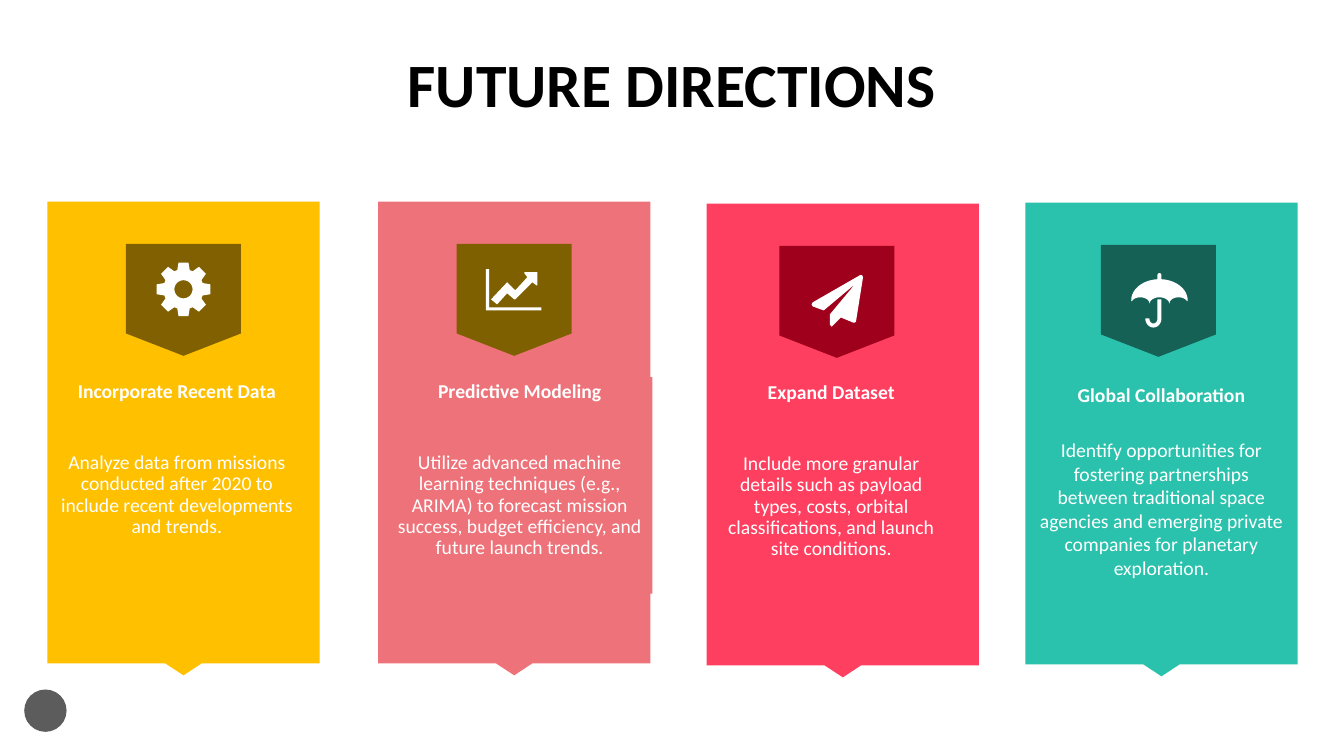
import math
from dataclasses import dataclass

import pptx
import pptx.dml.color
import pptx.enum.shapes
import pptx.enum.text
import pptx.util

Inches = pptx.util.Inches
Pt = pptx.util.Pt
RGBColor = pptx.dml.color.RGBColor
MSO_SHAPE = pptx.enum.shapes.MSO_SHAPE
PP_ALIGN = pptx.enum.text.PP_ALIGN
MSO_ANCHOR = pptx.enum.text.MSO_ANCHOR
MSO_AUTO_SIZE = pptx.enum.text.MSO_AUTO_SIZE

Point = tuple[float, float]
Contour = list[Point]
Box = tuple[float, float, float, float]

BLACK = RGBColor(0x00, 0x00, 0x00)
WHITE = RGBColor(0xFF, 0xFF, 0xFF)
GREY = RGBColor(0x5C, 0x5C, 0x5C)
AMBER = RGBColor(0xFF, 0xC0, 0x00)
OLIVE = RGBColor(0x80, 0x60, 0x00)
ROSE = RGBColor(0xED, 0x72, 0x79)
DARK_OLIVE = RGBColor(0x7F, 0x60, 0x00)
RED = RGBColor(0xFF, 0x3F, 0x5F)
DARK_RED = RGBColor(0x9F, 0x00, 0x1B)
TEAL = RGBColor(0x2A, 0xC2, 0xAC)
DARK_TEAL = RGBColor(0x15, 0x61, 0x56)

FONT = "Calibri"
CARD_W, CARD_H = 2.7, 4.7
BADGE_W, BADGE_H, BADGE_DROP = 1.14, 1.11, 0.42
CALLOUT_ADJ = (0.25, 0.067, 0.044, 0.975)


@dataclass
class Card:
    heading: str
    body: str
    left: float
    top: float
    fill: RGBColor
    badge_left: float
    badge_fill: RGBColor
    text_box: Box
    icon: list[Contour]
    text_filled: bool = False
    line_spacing: float = 0.9
    gap: float = 35.4


def arc(cx: float, cy: float, rx: float, ry: float,
        start: float, end: float, steps: int = 16) -> Contour:
    angles = [math.radians(start + (end - start) * i / steps) for i in range(steps + 1)]
    return [(cx + rx * math.cos(a), cy + ry * math.sin(a)) for a in angles]


def gear(cx: float, cy: float, teeth: int = 8) -> list[Contour]:
    profile = ((-18, 0.2), (-10.5, 0.27), (10.5, 0.27), (18, 0.2))
    rim = []
    for tooth in range(teeth):
        for offset, radius in profile:
            a = math.radians(tooth * 360 / teeth + offset)
            rim.append((cx + radius * math.cos(a), cy + radius * math.sin(a)))
    return [rim, arc(cx, cy, 0.09, 0.09, 0, 360, 32)]


def umbrella(cx: float) -> list[Contour]:
    canopy = (arc(cx, 2.98, 0.28, 0.21, 180, 360, 32)
              + arc(cx + 0.19, 3.01, 0.09, 0.06, -20, -180)
              + arc(cx, 3.02, 0.1, 0.07, 0, -180)
              + arc(cx - 0.19, 3.01, 0.09, 0.06, 0, -160))
    handle = ([(cx - 0.02, 2.97), (cx + 0.02, 2.97)]
              + arc(cx - 0.06, 3.16, 0.08, 0.09, 0, 180)
              + arc(cx - 0.06, 3.16, 0.04, 0.05, 180, 0))
    tip = [(cx - 0.02, 2.77)] + arc(cx, 2.73, 0.02, 0.02, 180, 360, 8) + [(cx + 0.02, 2.77)]
    return [canopy, handle, tip]


AXES = [(4.82, 2.67), (4.85, 2.67), (4.85, 3.05), (5.37, 3.05), (5.37, 3.08), (4.82, 3.08)]
TREND = [(4.87, 2.97), (5.03, 2.8), (5.11, 2.88), (5.23, 2.75), (5.2, 2.71), (5.2, 2.7),
         (5.33, 2.7), (5.33, 2.83), (5.32, 2.83), (5.28, 2.8), (5.11, 2.97), (5.1, 2.97),
         (5.03, 2.91), (4.93, 3.02)]
PLANE = [(8.56, 2.75), (8.49, 3.19), (8.48, 3.2), (8.46, 3.2), (8.34, 3.15), (8.26, 3.23),
         (8.25, 3.24), (8.23, 3.22), (8.23, 3.12), (8.48, 2.82), (8.17, 3.08), (8.06, 3.04),
         (8.05, 3.02), (8.06, 3), (8.53, 2.73), (8.55, 2.73)]

CARDS = [
    Card("Incorporate Recent Data",
         "Analyze data from missions conducted after 2020 to include recent developments "
         "and trends.",
         0.47, 2, AMBER, 1.25, OLIVE, (0.46, 3.74, 2.59, 1.65), gear(1.82, 2.87)),
    Card("Predictive Modeling",
         "Utilize advanced machine learning techniques (e.g., ARIMA) to forecast mission "
         "success, budget efficiency, and future launch trends.",
         3.75, 2, ROSE, 4.53, DARK_OLIVE, (3.84, 3.74, 2.63, 2.15), [AXES, TREND],
         text_filled=True),
    Card("Expand Dataset",
         "Include more granular details such as payload types, costs, orbital "
         "classifications, and launch site conditions.",
         7.01, 2.02, RED, 7.73, DARK_RED, (7.01, 3.75, 2.47, 2.15), [PLANE]),
    Card("Global Collaboration",
         "Identify opportunities for fostering partnerships between traditional space "
         "agencies and emerging private companies for planetary exploration.",
         10.17, 2.01, TEAL, 10.92, DARK_TEAL, (10.21, 3.75, 2.62, 2.36), umbrella(11.5),
         line_spacing=1.0, gap=22.7),
]


def paint(sp, fill: RGBColor) -> None:
    sp.shadow.inherit = False
    sp.fill.solid()
    sp.fill.fore_color.rgb = fill
    sp.line.fill.background()


def add_shape(slide, kind: MSO_SHAPE, box: Box, fill: RGBColor):
    sp = slide.shapes.add_shape(kind, *map(Inches, box))
    paint(sp, fill)
    return sp


def add_icon(slide, contours: list[Contour]) -> None:
    paths = [[(Inches(x), Inches(y)) for x, y in contour] for contour in contours]
    builder = slide.shapes.build_freeform(*paths[0][0])
    builder.add_line_segments(paths[0][1:], close=True)
    for path in paths[1:]:
        builder.move_to(*path[0])
        builder.add_line_segments(path[1:], close=True)
    paint(builder.convert_to_shape(), WHITE)


def format_paragraph(p, size: float, color: RGBColor, bold: bool, spacing: float) -> None:
    p.alignment = PP_ALIGN.CENTER
    p.line_spacing = spacing
    p.space_before = Pt(0)
    for r in p.runs:
        r.font.name = FONT
        r.font.size = Pt(size)
        r.font.bold = bold
        r.font.color.rgb = color


def add_card_text(slide, card: Card) -> None:
    if card.text_filled:
        sp = add_shape(slide, MSO_SHAPE.RECTANGLE, card.text_box, card.fill)
    else:
        sp = slide.shapes.add_textbox(*map(Inches, card.text_box))
    tf = sp.text_frame
    tf.word_wrap = True
    tf.vertical_anchor = MSO_ANCHOR.TOP
    tf.text = card.heading
    format_paragraph(tf.paragraphs[0], 14, WHITE, True, card.line_spacing)
    p = tf.add_paragraph()
    p.text = card.body
    format_paragraph(p, 14, WHITE, False, card.line_spacing)
    p.space_before = Pt(card.gap)


def add_card(slide, card: Card) -> None:
    sp = add_shape(slide, MSO_SHAPE.DOWN_ARROW_CALLOUT,
                   (card.left, card.top, CARD_W, CARD_H), card.fill)
    for i, value in enumerate(CALLOUT_ADJ):
        sp.adjustments[i] = value
    add_card_text(slide, card)
    add_shape(slide, MSO_SHAPE.FLOWCHART_OFFPAGE_CONNECTOR,
              (card.badge_left, card.top + BADGE_DROP, BADGE_W, BADGE_H), card.badge_fill)
    add_icon(slide, card.icon)


def add_title(slide, text: str, box: Box) -> None:
    sp = slide.shapes.title
    sp.left, sp.top, sp.width, sp.height = map(Inches, box)
    tf = sp.text_frame
    tf.text = text
    tf.word_wrap = True
    tf.auto_size = MSO_AUTO_SIZE.NONE
    tf.vertical_anchor = MSO_ANCHOR.MIDDLE
    format_paragraph(tf.paragraphs[0], 44, BLACK, True, 0.9)


def main() -> None:
    prs = pptx.Presentation()
    prs.slide_width, prs.slide_height = Inches(13.33), Inches(7.5)
    slide = prs.slides.add_slide(prs.slide_layouts[5])
    add_title(slide, "FUTURE DIRECTIONS", (2.93, 0.14, 7.47, 1.45))
    add_shape(slide, MSO_SHAPE.OVAL, (0.24, 6.84, 0.42, 0.42), GREY)
    for card in CARDS:
        add_card(slide, card)
    prs.save("out.pptx")


if __name__ == "__main__":
    main()
